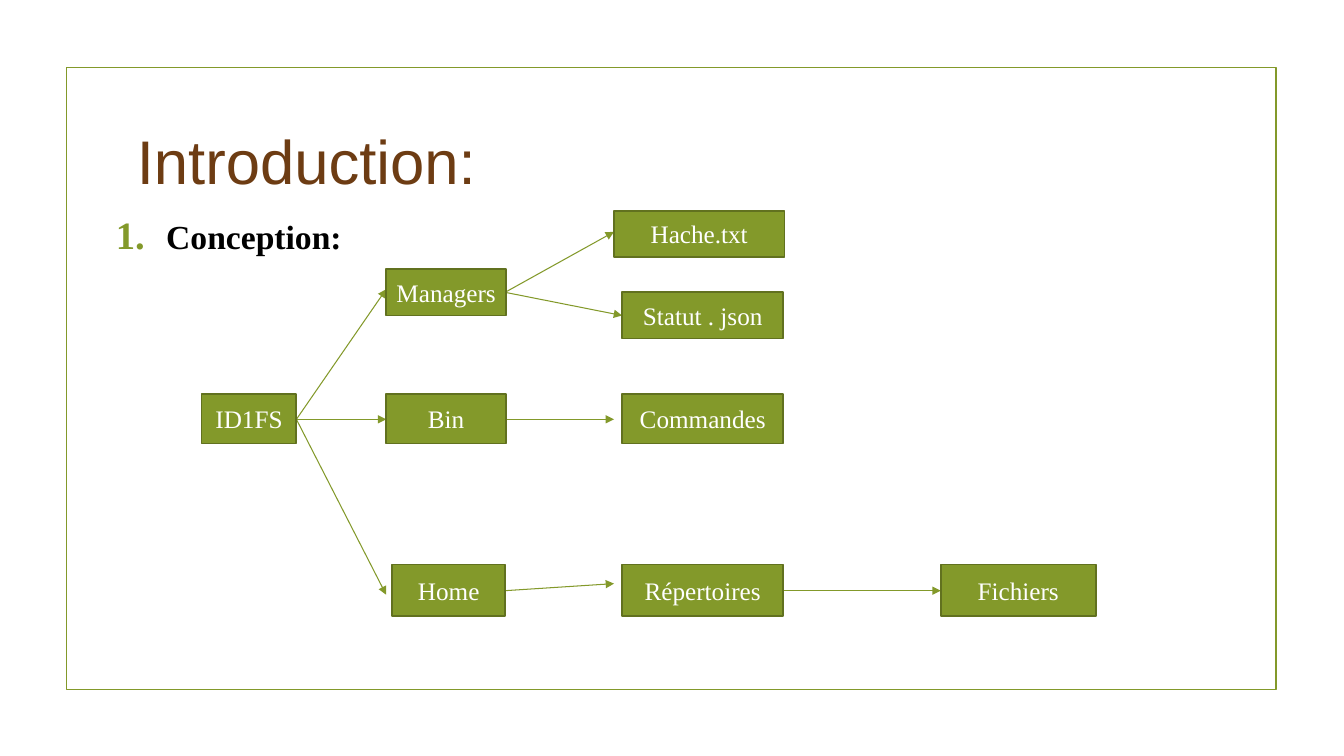
"""Build the introduction slide with the ID1FS directory tree."""
from typing import NamedTuple

from lxml.etree import SubElement
from pptx import Presentation
from pptx.dml.color import RGBColor as RGB
from pptx.enum.shapes import MSO_CONNECTOR as CONN, MSO_SHAPE as SHAPE
from pptx.enum.text import MSO_ANCHOR as ANCHOR, PP_ALIGN as ALIGN
from pptx.oxml.ns import qn
from pptx.util import Inches, Pt

COLORS = {"green": "83992A", "edge": "61711F", "brown": "6D3C13",
          "black": "000000", "white": "FFFFFF"}
SERIF = "Times New Roman"


class Node(NamedTuple):
    text: str
    x: float
    y: float
    w: float
    h: float


class Arrow(NamedTuple):
    x1: float
    y1: float
    x2: float
    y2: float


NODES = [
    Node("ID1FS", 2, 3.91, 0.94, 0.49),
    Node("Managers", 3.83, 2.67, 1.19, 0.46),
    Node("Bin", 3.83, 3.91, 1.19, 0.49),
    Node("Home", 3.89, 5.6, 1.12, 0.51),
    Node("Répertoires", 6.17, 5.6, 1.6, 0.51),
    Node("Commandes", 6.17, 3.91, 1.6, 0.49),
    Node("Hache.txt", 6.09, 2.09, 1.69, 0.46),
    Node("Statut . json", 6.17, 2.9, 1.6, 0.46),
    Node("Fichiers", 9.33, 5.6, 1.54, 0.51),
]
ARROWS = [
    Arrow(2.94, 4.16, 3.83, 2.87),
    Arrow(2.94, 4.16, 3.83, 4.16),
    Arrow(2.94, 4.16, 3.83, 5.9),
    Arrow(5.01, 5.86, 6.09, 5.79),
    Arrow(5.01, 4.16, 6.09, 4.16),
    Arrow(5.01, 2.9, 6.09, 2.3),
    Arrow(5.01, 2.9, 6.17, 3.13),
    Arrow(7.77, 5.86, 9.33, 5.86),
]


def rgb(name: str) -> RGB:
    return RGB.from_string(COLORS[name])


def write(sp, text: str, *, size: float, color: str, font: str = SERIF,
          bold: bool = False, align=ALIGN.LEFT, anchor=ANCHOR.MIDDLE,
          inset: float = 0.1):
    tf = sp.text_frame
    tf.word_wrap = True
    tf.vertical_anchor = anchor
    tf.margin_left = tf.margin_right = Inches(inset)
    p = tf.paragraphs[0]
    p.alignment = align
    r = p.add_run()
    r.text = text
    r.font.name, r.font.size, r.font.bold = font, Pt(size), bold
    r.font.color.rgb = rgb(color)
    return p


def add_box(slide, x: float, y: float, w: float, h: float, *, line: str,
            fill: str | None = None):
    sp = slide.shapes.add_shape(SHAPE.RECTANGLE, Inches(x), Inches(y), Inches(w), Inches(h))
    sp.shadow.inherit = False
    if fill:
        sp.fill.solid()
        sp.fill.fore_color.rgb = rgb(fill)
    else:
        sp.fill.background()
    sp.line.color.rgb = rgb(line)
    sp.line.width = Pt(1.25)
    return sp


def add_node(slide, node: Node) -> None:
    sp = add_box(slide, node.x, node.y, node.w, node.h, line="edge", fill="green")
    write(sp, node.text, size=18, color="white", align=ALIGN.CENTER, inset=0.05)


def add_arrow(slide, arrow: Arrow) -> None:
    cxn = slide.shapes.add_connector(CONN.STRAIGHT, *map(Inches, arrow))
    cxn.line.color.rgb = rgb("green")
    cxn.line.width = Pt(0.75)
    SubElement(cxn.line._get_or_add_ln(), qn("a:tailEnd"), type="triangle")
    SubElement(cxn._element.spPr, qn("a:effectLst"))


def add_number(p) -> None:
    p.space_before, p.space_after = Pt(5), Pt(6)
    pPr = p._p.get_or_add_pPr()
    pPr.set("marL", str(Inches(0.5)))
    pPr.set("indent", str(Inches(-0.5)))
    clr = SubElement(pPr, qn("a:buClr"))
    SubElement(clr, qn("a:srgbClr"), val=COLORS["green"])
    SubElement(pPr, qn("a:buSzPct"), val="115000")
    SubElement(pPr, qn("a:buFont"), typeface=SERIF)
    SubElement(pPr, qn("a:buAutoNum"), type="arabicPeriod")


def main() -> None:
    prs = Presentation()
    prs.slide_width, prs.slide_height = Inches(13.33), Inches(7.5)
    slide = prs.slides.add_slide(prs.slide_layouts[6])
    add_box(slide, 0.66, 0.67, 12, 6.17, line="green")

    title = slide.shapes.add_textbox(Inches(1.26), Inches(0.87), Inches(9.16), Inches(1.43))
    write(title, "Introduction:", size=44, color="brown", font="Arial")
    body = slide.shapes.add_textbox(Inches(1.05), Inches(2.09), Inches(11.32), Inches(4.54))
    add_number(write(body, "Conception:", size=24, color="black", bold=True,
                     anchor=ANCHOR.TOP))

    for arrow in ARROWS:
        add_arrow(slide, arrow)
    for node in NODES:
        add_node(slide, node)
    prs.save("out.pptx")


if __name__ == "__main__":
    main()
